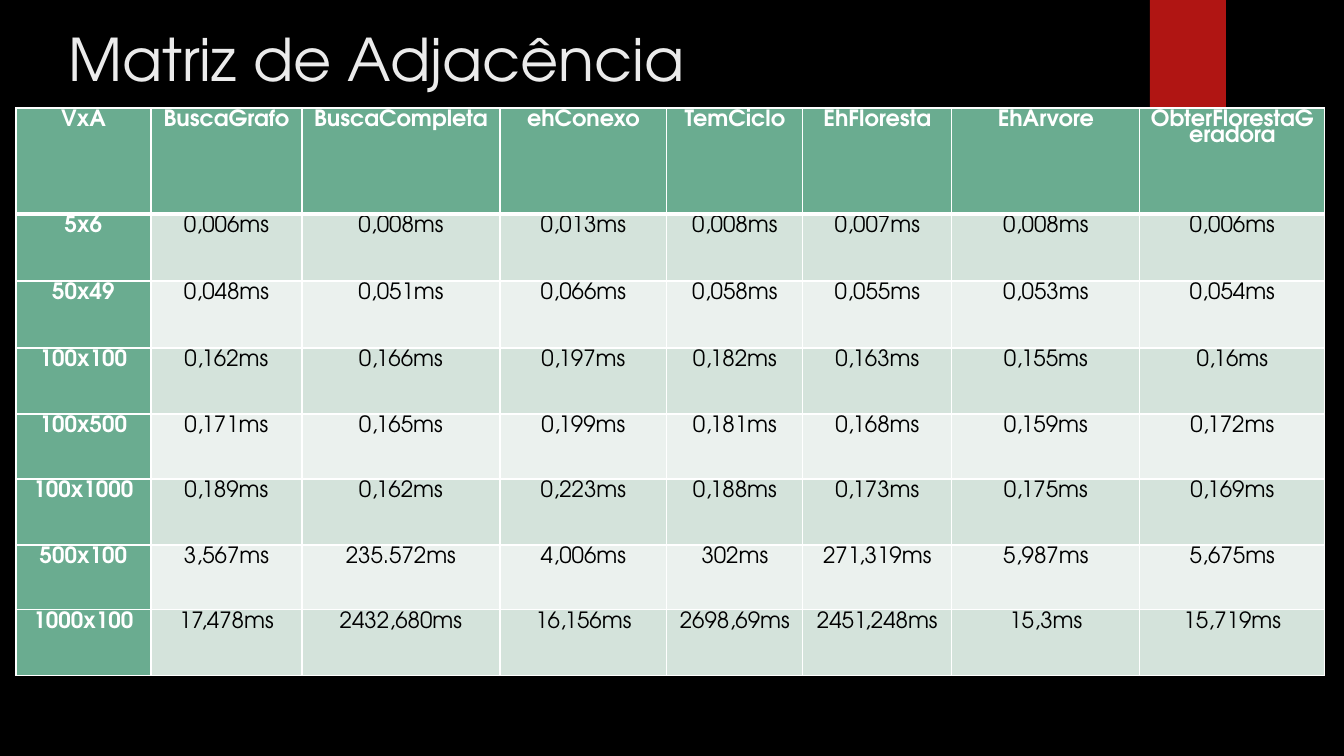
"""Build the adjacency matrix timing slide."""
from lxml.etree import fromstring
from pptx import Presentation
from pptx.dml.color import RGBColor as RGB
from pptx.enum.shapes import MSO_SHAPE as Preset
from pptx.enum.text import MSO_ANCHOR as Anchor, MSO_AUTO_SIZE as AutoSize, PP_ALIGN as Align
from pptx.oxml.ns import nsdecls
from pptx.util import Emu, Pt

THEME = {
    "font": "TeX Gyre Adventor",
    "title_size": 42, "cell_size": 16,
    "background": "000000", "ribbon": "B01513", "title": "EBEBEB",
    "heading_fill": "6AAC90", "heading_text": "FFFFFF",
    "bands": ["EBF1EE", "D4E3DB"], "value_text": "000000",
    "border": "FFFFFF",
}

TIMINGS = """
VxA BuscaGrafo BuscaCompleta ehConexo TemCiclo EhFloresta EhArvore ObterFlorestaGeradora
5x6 0,006ms 0,008ms 0,013ms 0,008ms 0,007ms 0,008ms 0,006ms
50x49 0,048ms 0,051ms 0,066ms 0,058ms 0,055ms 0,053ms 0,054ms
100x100 0,162ms 0,166ms 0,197ms 0,182ms 0,163ms 0,155ms 0,16ms
100x500 0,171ms 0,165ms 0,199ms 0,181ms 0,168ms 0,159ms 0,172ms
100x1000 0,189ms 0,162ms 0,223ms 0,188ms 0,173ms 0,175ms 0,169ms
500x100 3,567ms 235.572ms 4,006ms 302ms 271,319ms 5,987ms 5,675ms
1000x100 17,478ms 2432,680ms 16,156ms 2698,69ms 2451,248ms 15,3ms 15,719ms
"""
timings = [line.split() for line in TIMINGS.strip().splitlines()]
column_widths = [135, 151, 198, 167, 136, 149, 188, 185]
row_heights = [106, 67, 67, 66, 65, 66, 65, 66]


def px(length):
    return Emu(round(length * 12192000 / 1344))


def format_font(font, size, color, bold=False):
    for name, value in {"name": THEME["font"], "size": Pt(size), "bold": bold}.items():
        setattr(font, name, value)
    font.color.rgb = RGB.from_string(color)


deck = Presentation()
deck.slide_width, deck.slide_height = px(1344), px(756)
slide = deck.slides.add_slide(deck.slide_layouts[5])
slide.background.fill.solid()
slide.background.fill.fore_color.rgb = RGB.from_string(THEME["background"])

ribbon = slide.shapes.add_shape(Preset.RECTANGLE, px(1150), px(0), px(76), px(126))
ribbon.shadow.inherit = False
ribbon.fill.solid()
ribbon.fill.fore_color.rgb = RGB.from_string(THEME["ribbon"])
ribbon.line.fill.background()

title = slide.shapes.title
title_box = {"left": px(58), "top": px(18), "width": px(1037), "height": px(154)}
for name, value in title_box.items():
    setattr(title, name, value)
title_format = {"vertical_anchor": Anchor.TOP, "word_wrap": True, "auto_size": AutoSize.NONE}
for name, value in title_format.items():
    setattr(title.text_frame, name, value)
title.text_frame.text = "Matriz de Adjacência"
heading = title.text_frame.paragraphs[0]
heading.alignment = Align.LEFT
format_font(heading.runs[0].font, THEME["title_size"], THEME["title"])

timing_table = slide.shapes.add_table(
    len(timings), len(column_widths), px(16), px(108),
    px(sum(column_widths)), px(sum(row_heights))).table
for column, width in zip(timing_table.columns, column_widths):
    column.width = px(width)
for row, height in zip(timing_table.rows, row_heights):
    row.height = px(height)

for r, record in enumerate(timings):
    for c, entry in enumerate(record):
        is_heading = r == 0 or c == 0
        cell = timing_table.cell(r, c)
        cell.text = entry
        cell.vertical_anchor = Anchor.TOP
        cell.fill.solid()
        fill = THEME["heading_fill"] if is_heading else THEME["bands"][r % 2]
        cell.fill.fore_color.rgb = RGB.from_string(fill)

        paragraph = cell.text_frame.paragraphs[0]
        paragraph.alignment = Align.CENTER
        paragraph.line_spacing = 0.8
        text_color = THEME["heading_text"] if is_heading else THEME["value_text"]
        format_font(paragraph.runs[0].font, THEME["cell_size"], text_color, is_heading)

        border_points = {"L": 1, "R": 1, "T": 3 if r == 1 else 1, "B": 3 if r == 0 else 1}
        for position, (side, points) in enumerate(border_points.items()):
            border = fromstring(
                f'<a:ln{side} {nsdecls("a")} w="{Pt(points)}"><a:solidFill>'
                f'<a:srgbClr val="{THEME["border"]}"/></a:solidFill></a:ln{side}>')
            cell._tc.get_or_add_tcPr().insert(position, border)

deck.save("out.pptx")
